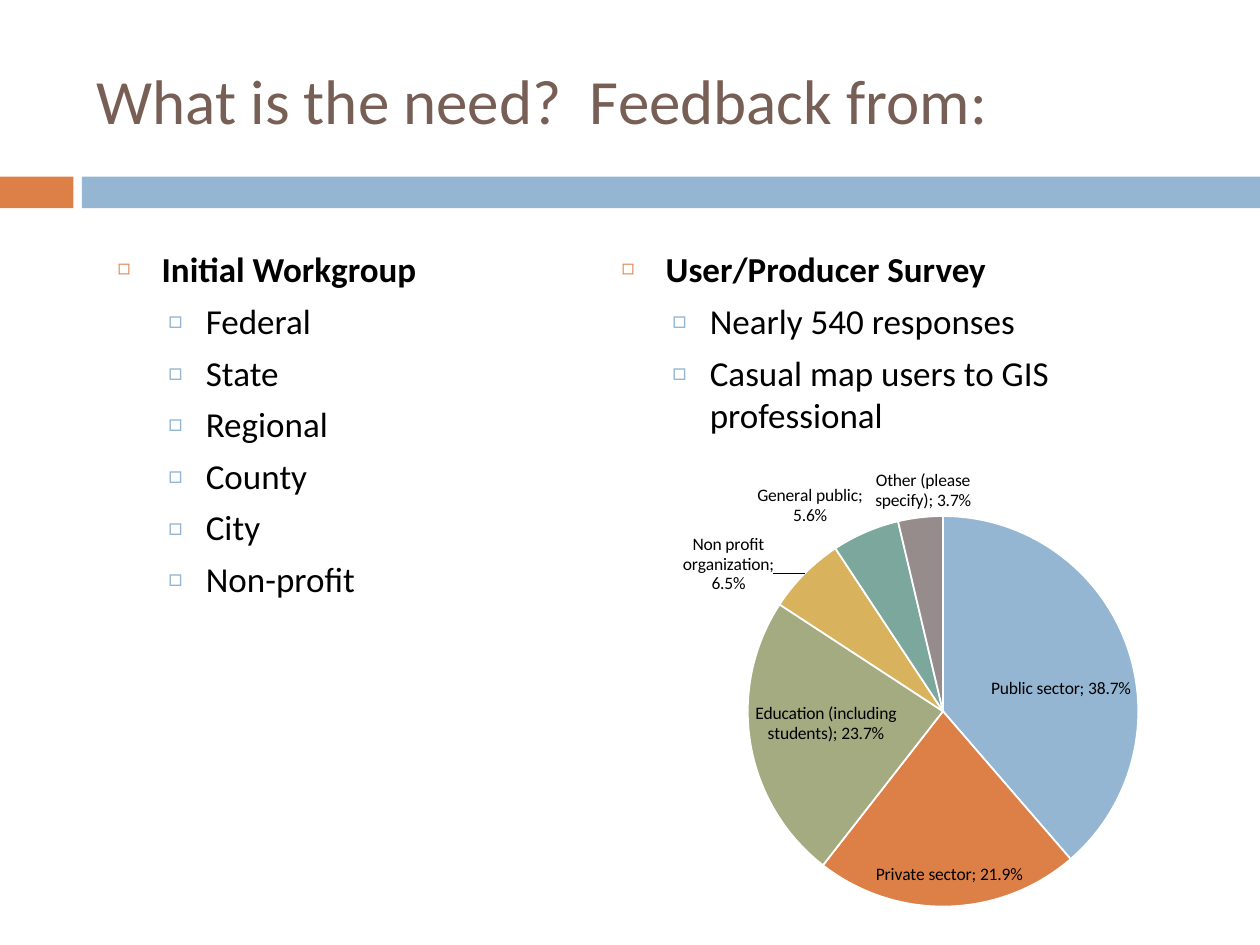
from lxml import etree
from pptx import Presentation
from pptx import util as u
from pptx.chart.data import CategoryChartData
from pptx.dml.color import RGBColor
from pptx.enum import chart as ch, shapes, text
from pptx.oxml import ns

FONT = "Calibri"
BLACK = RGBColor(0x00, 0x00, 0x00)
WHITE = RGBColor(0xFF, 0xFF, 0xFF)
BROWN = RGBColor(0x77, 0x5F, 0x55)
BLUE = RGBColor(0x94, 0xB6, 0xD2)
ORANGE = RGBColor(0xDD, 0x80, 0x47)
GREEN = RGBColor(0xA5, 0xAB, 0x81)
GOLD = RGBColor(0xD8, 0xB2, 0x5C)
TEAL = RGBColor(0x7B, 0xA7, 0x9D)
GREY = RGBColor(0x96, 0x8C, 0x8C)

SURVEY = [
    ("Public sector", 0.387, BLUE),
    ("Private sector", 0.219, ORANGE),
    ("Education (including students)", 0.237, GREEN),
    ("Non profit organization", 0.065, GOLD),
    ("General public", 0.056, TEAL),
    ("Other (please specify)", 0.037, GREY),
]


def add(node, tag, **attrs):
    return etree.SubElement(node, ns.qn(tag), attrs)


def write(para, words, size=20, color=BLACK, bold=False, before=0):
    para.add_run().text = words
    para.space_before = u.Pt(before)
    font = para.font
    font.name, font.size, font.bold = FONT, u.Pt(size), bold
    font.color.rgb = color


def bullet(para, mark, color, scale, left, hang):
    props = para._p.get_or_add_pPr()
    props.set("marL", str(u.Cm(left)))
    props.set("indent", str(-u.Cm(hang)))
    add(add(props, "a:buClr"), "a:srgbClr", val=str(color))
    add(props, "a:buSzPct", val=str(scale * 1000))
    add(props, "a:buFont", typeface=FONT)
    add(props, "a:buChar", char=mark)


class Deck:
    def __init__(self):
        self.prs = Presentation()
        self.prs.slide_width, self.prs.slide_height = u.Cm(25.4), u.Cm(19.05)
        self.slide = self.prs.slides.add_slide(self.prs.slide_layouts[6])

    def bar(self, left, width, color):
        box = self.slide.shapes.add_shape(
            shapes.MSO_SHAPE.RECTANGLE,
            u.Cm(left), u.Cm(3.56), u.Cm(width), u.Cm(0.64))
        box.shadow.inherit = False
        box.fill.solid()
        box.fill.fore_color.rgb = color
        box.line.fill.background()

    def frame(self, *area):
        box = self.slide.shapes.add_textbox(*map(u.Cm, area))
        box.text_frame.word_wrap = True
        return box.text_frame

    def title(self, words):
        frame = self.frame(1.7, 0.64, 22.66, 2.74)
        frame.vertical_anchor = text.MSO_ANCHOR.MIDDLE
        write(frame.paragraphs[0], words, size=36, color=BROWN)

    def points(self, head, items, *area):
        """Add a bold bulleted heading with second-level items below it."""
        frame = self.frame(*area)
        first = frame.paragraphs[0]
        bullet(first, "◻", ORANGE, 60, 0.89, 0.89)
        write(first, head, bold=True)
        for item in items:
            para = frame.add_paragraph()
            para.level = 1
            bullet(para, "□", BLUE, 70, 1.78, 0.76)
            write(para, item, before=5.5)

    def pie(self, rows, *area):
        data = CategoryChartData(number_format="0.0%")
        data.categories = [name for name, _, _ in rows]
        data.add_series("Series 1", [share for _, share, _ in rows])
        chart = self.slide.shapes.add_chart(
            ch.XL_CHART_TYPE.PIE, *map(u.Cm, area), data).chart
        chart.has_legend = chart.has_title = False
        chart.font.name, chart.font.size = FONT, u.Pt(10)
        chart.font.color.rgb = BLACK
        plot = chart.plots[0]
        plot.vary_by_categories = True
        for spot, (_, _, color) in enumerate(rows):
            form = plot.series[0].points[spot].format
            form.fill.solid()
            form.fill.fore_color.rgb = color
            form.line.color.rgb = WHITE
            form.line.width = u.Pt(1)
        self.place(chart, x=0.287, y=0.136, w=0.62, h=0.828)
        self.label(plot)

    def place(self, chart, **sides):
        """Fix the inner plot area as fractions of the chart."""
        area = chart.plots[0]._element.getparent()
        for old in area.findall(ns.qn("c:layout")):
            area.remove(old)
        layout = etree.Element(ns.qn("c:layout"))
        area.insert(0, layout)
        manual = add(layout, "c:manualLayout")
        add(manual, "c:layoutTarget", val="inner")
        for side in "xy":
            add(manual, f"c:{side}Mode", val="edge")
        for side, part in sides.items():
            add(manual, f"c:{side}", val=str(part))

    def label(self, plot):
        plot.has_data_labels = True
        tags = plot.data_labels
        tags.show_category_name = tags.show_value = True
        tags.show_percentage = False
        tags.number_format, tags.number_format_is_linked = "0.0%", False
        tags.position = ch.XL_LABEL_POSITION.BEST_FIT
        mark = etree.Element(ns.qn("c:separator"))
        mark.text = "; "
        tags._element.find(ns.qn("c:showBubbleSize")).addnext(mark)


def main():
    deck = Deck()
    deck.bar(0, 1.48, ORANGE)
    deck.bar(1.65, 23.75, BLUE)
    deck.title("What is the need?  Feedback from:")
    deck.points("User/Producer Survey",
                ["Nearly 540 responses", "Casual map users to GIS professional"],
                12.28, 4.87, 10.8, 6.38)
    deck.points("Initial Workgroup",
                ["Federal", "State", "Regional", "County", "City", "Non-profit"],
                2.12, 4.87, 9.32, 12.7)
    deck.pie(SURVEY, 11.43, 9.1, 12.7, 9.53)
    deck.prs.save("out.pptx")


if __name__ == "__main__":
    main()
